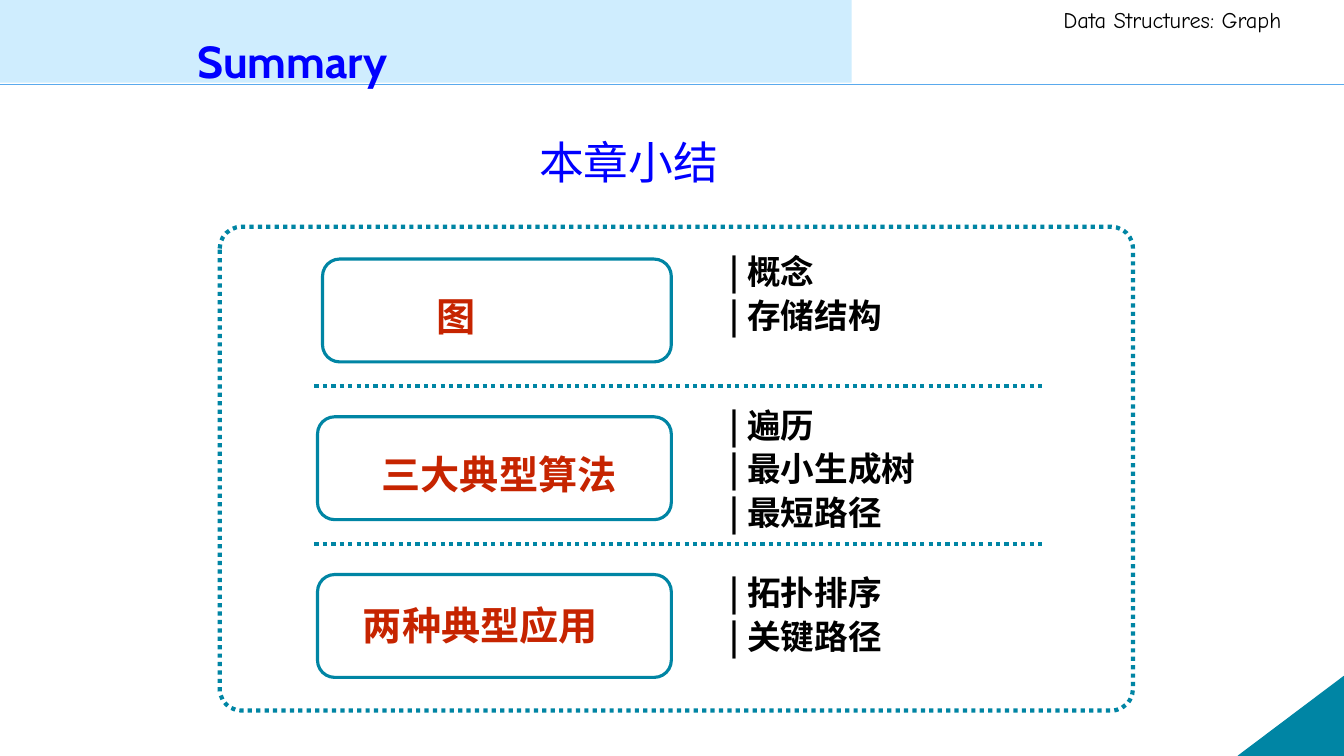
"""Build the chapter summary slide of a course on graphs."""
from dataclasses import dataclass

from lxml import etree
from pptx import Presentation
from pptx import util as u
from pptx.dml.color import RGBColor
from pptx.enum import dml, shapes, text
from pptx.oxml import ns

CELL = u.Inches(0.1)
COLUMNS, ROWS = 133.33, 75
SECTION_TOP, SECTION_PITCH = 25.7, 15.65
DIVIDER_ROW = 38.3


@dataclass(frozen=True)
class Theme:
    """Colours, fonts and type sizes of the slide."""
    teal: str = "0085A4"
    band: str = "CFEDFE"
    rule: str = "5AAAED"
    blue: str = "0000FF"
    red: str = "C62400"
    black: str = "000000"
    body_font: str = "Arial"
    heading_font: str = "Cabin"
    course_font: str = "Comic Neue"
    chinese_font: str = "Noto Sans CJK SC"
    title_size: int = 32
    label_size: int = 28
    item_size: int = 24
    course_size: int = 16
    chinese_leading: float = 1.3


@dataclass(frozen=True)
class Section:
    """One topic with its label placement and its list of items."""
    label: str
    items: tuple
    frame_left: float
    label_at: tuple
    inset: float
    items_top: float
    align: text.PP_ALIGN = text.PP_ALIGN.LEFT


THEME = Theme()
SECTIONS = (
    Section("图", ("概念", "存储结构"), 32, (25.7, 28.1, 52, 5.7), 17.6, 24.1),
    Section("三大典型算法", ("遍历", "最小生成树", "最短路径"), 31.5,
            (25.7, 43.8, 44.1, 5.7), 4.5, 39.3, text.PP_ALIGN.CENTER),
    Section("两种典型应用", ("拓扑排序", "关键路径"), 31.5,
            (27.3, 58.8, 46.5, 5.7), 8.7, 55.9),
)


def cells(*counts):
    """Convert grid counts to lengths."""
    return [round(count * CELL) for count in counts]


def style_line(line, color, width, dotted=False):
    """Set the colour, width and dash of a line."""
    line.color.rgb = RGBColor.from_string(color)
    line.width = u.Pt(width)
    if dotted:
        line.dash_style = dml.MSO_LINE.ROUND_DOT


def add_rule(slide, left, right, row, **line):
    """Draw a horizontal line across the given columns."""
    connector = slide.shapes.add_connector(
        shapes.MSO_CONNECTOR.STRAIGHT, *cells(left, row, right, row))
    style_line(connector.line, **line)
    etree.SubElement(connector._element.spPr, ns.qn("a:effectLst"))


def add_block(slide, kind, at, fill=None, **line):
    """Draw a preset shape with an optional fill and outline."""
    shape = slide.shapes.add_shape(kind, *cells(*at))
    shape.shadow.inherit = False
    if fill:
        shape.fill.solid()
        shape.fill.fore_color.rgb = RGBColor.from_string(fill)
    else:
        shape.fill.background()
    if line:
        style_line(shape.line, **line)
    else:
        shape.line.fill.background()
    return shape


def add_text(slide, at, *lines, size, color, font=THEME.body_font, bold=False,
             align=text.PP_ALIGN.LEFT, inset=1, leading=None):
    """Write lines of text as paragraphs in one box."""
    frame = slide.shapes.add_textbox(*cells(*at)).text_frame
    frame.word_wrap = True
    frame.margin_left = cells(inset)[0]
    for index, line in enumerate(lines):
        paragraph = frame.add_paragraph() if index else frame.paragraphs[0]
        paragraph.alignment = align
        if leading:
            paragraph.line_spacing = u.Pt(size * leading)
        run = paragraph.add_run()
        run.text = line
        run.font.size = u.Pt(size)
        run.font.bold = bold
        run.font.color.rgb = RGBColor.from_string(color)
        run.font.name = font
        etree.SubElement(run.font._element, ns.qn("a:ea"),
                         typeface=THEME.chinese_font)


def add_header(slide):
    """Draw the header band, the course name and the corner."""
    add_rule(slide, 0, COLUMNS, 8.4, color=THEME.rule, width=1)
    corner = add_block(slide, shapes.MSO_SHAPE.RIGHT_TRIANGLE,
                       (COLUMNS - 10.5, ROWS - 7.9, 10.5, 7.9),
                       THEME.teal, color=THEME.teal, width=0.75)
    corner._element.spPr.xfrm.set("flipH", "1")
    add_text(slide, (104.5, 0.1, 28.9, 3.7), "Data Structures: Graph",
             size=THEME.course_size, color=THEME.black, font=THEME.course_font)
    add_block(slide, shapes.MSO_SHAPE.RECTANGLE, (0, 0, 84.5, 8.2), THEME.band)
    add_text(slide, (18.6, 2.9, 34.7, 6.3), "Summary", size=THEME.title_size,
             color=THEME.blue, font=THEME.heading_font, bold=True)


def add_section(slide, section, top):
    """Draw a framed topic label and its items."""
    add_block(slide, shapes.MSO_SHAPE.FLOWCHART_ALTERNATE_PROCESS,
              (section.frame_left, top, 66.6 - section.frame_left, 10.2),
              color=THEME.teal, width=2.25)
    add_text(slide, section.label_at, section.label, size=THEME.label_size,
             color=THEME.red, bold=True, align=section.align,
             inset=section.inset, leading=THEME.chinese_leading)
    add_text(slide, (71.4, section.items_top, 34.7, 0.7 + 4.4 * len(section.items)),
             *(f"| {item}" for item in section.items), size=THEME.item_size,
             color=THEME.black, font=THEME.chinese_font, bold=True,
             leading=THEME.chinese_leading)


def main():
    """Build the slide and save it."""
    presentation = Presentation()
    presentation.slide_width, presentation.slide_height = cells(COLUMNS, ROWS)
    slide = presentation.slides.add_slide(presentation.slide_layouts[6])
    add_header(slide)
    add_text(slide, (52.5, 12.4, 40.9, 6.3), "本章小结", size=THEME.title_size,
             color=THEME.blue, leading=THEME.chinese_leading)
    for index in range(len(SECTIONS) - 1):
        add_rule(slide, 31.2, 103.7, DIVIDER_ROW + index * SECTION_PITCH,
                 color=THEME.teal, width=3, dotted=True)
    panel = add_block(slide, shapes.MSO_SHAPE.ROUNDED_RECTANGLE,
                      (21.8, 22.5, 90.6, 48), color=THEME.teal, width=3,
                      dotted=True)
    panel.adjustments[0] = 0.045
    for index, section in enumerate(SECTIONS):
        add_section(slide, section, SECTION_TOP + index * SECTION_PITCH)
    presentation.save("out.pptx")


if __name__ == "__main__":
    main()
